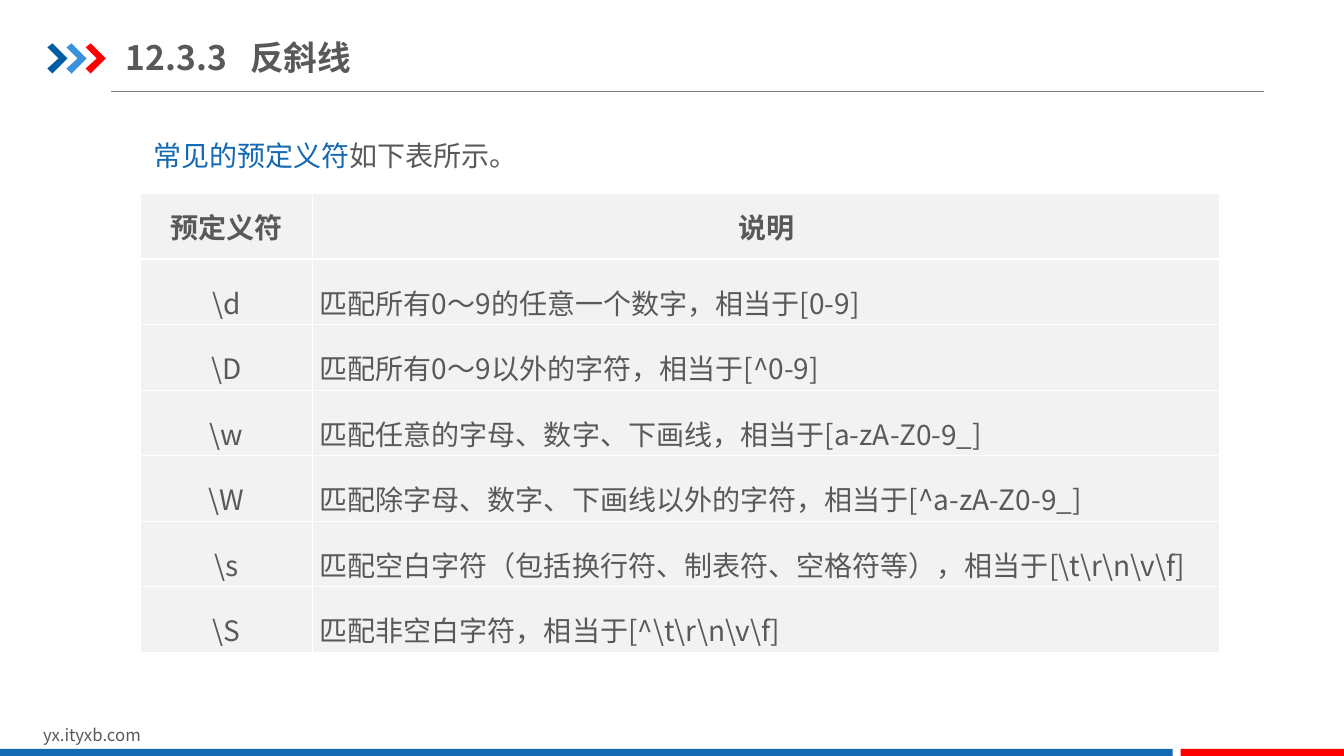
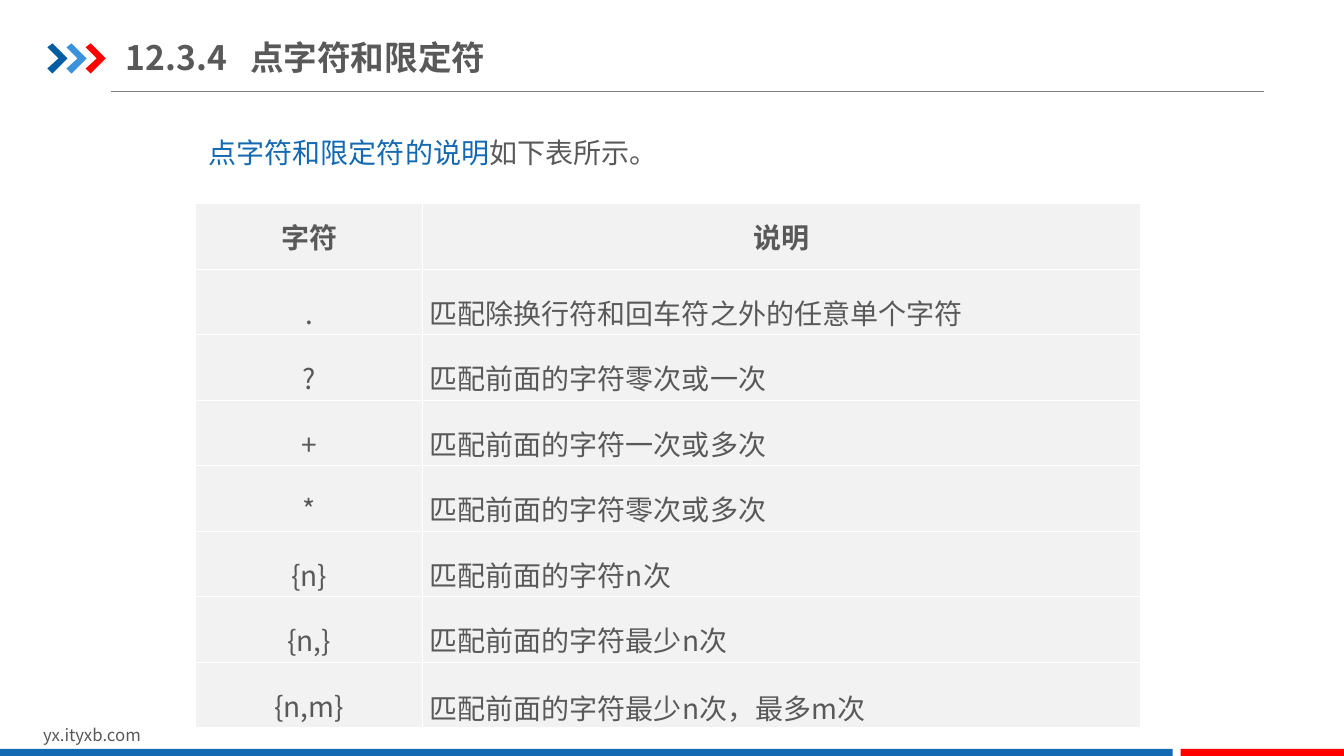
from lxml import etree
from pptx import Presentation
from pptx.dml.color import RGBColor
from pptx.enum import shapes, text
from pptx.oxml import ns
from pptx.util import Inches, Pt

FONT = "Noto Sans CJK SC"
BLUE = RGBColor(0x13, 0x69, 0xB2)
DARK_BLUE = RGBColor(0x00, 0x5D, 0xA2)
LIGHT_BLUE = RGBColor(0x39, 0x92, 0xDB)
RED = RGBColor(0xFF, 0x00, 0x00)
TEXT_GRAY = RGBColor(0x59, 0x59, 0x59)
RULE_GRAY = RGBColor(0x80, 0x80, 0x80)
CELL_GRAY = RGBColor(0xF2, 0xF2, 0xF2)
WHITE = RGBColor(0xFF, 0xFF, 0xFF)

SLIDE_W, SLIDE_H = 13.33, 7.5
ROW_H = 0.65

PREDEFINED = [
    ("预定义符", "说明"),
    (r"\d", "匹配所有0～9的任意一个数字，相当于[0-9]"),
    (r"\D", "匹配所有0～9以外的字符，相当于[^0-9]"),
    (r"\w", "匹配任意的字母、数字、下画线，相当于[a-zA-Z0-9_]"),
    (r"\W", "匹配除字母、数字、下画线以外的字符，相当于[^a-zA-Z0-9_]"),
    (r"\s", r"匹配空白字符（包括换行符、制表符、空格符等），相当于[\t\r\n\v\f]"),
    (r"\S", r"匹配非空白字符，相当于[^\t\r\n\v\f]"),
]
QUANTIFIERS = [
    ("字符", "说明"),
    (".", "匹配除换行符和回车符之外的任意单个字符"),
    ("?", "匹配前面的字符零次或一次"),
    ("+", "匹配前面的字符一次或多次"),
    ("*", "匹配前面的字符零次或多次"),
    ("{n}", "匹配前面的字符n次"),
    ("{n,}", "匹配前面的字符最少n次"),
    ("{n,m}", "匹配前面的字符最少n次，最多m次"),
]


def sub(parent, tag, **attributes):
    return etree.SubElement(parent, ns.qn(tag), **attributes)


def style_run(run, size, color=TEXT_GRAY, bold=False):
    """Set the run's look, with one font for Latin and East Asian text."""
    run.font.size = Pt(size)
    run.font.bold = bold
    run.font.color.rgb = color
    run.font.name = FONT
    sub(run.font._element, "a:ea", typeface=FONT)


def set_margins(target, horizontal, vertical):
    target.margin_left = target.margin_right = Inches(horizontal)
    target.margin_top = target.margin_bottom = Inches(vertical)


def add_text_frame(slide, box, horizontal, vertical):
    frame = slide.shapes.add_textbox(*map(Inches, box)).text_frame
    frame.word_wrap = True
    set_margins(frame, horizontal, vertical)
    return frame


def paint(shape, color):
    shape.fill.solid()
    shape.fill.fore_color.rgb = color
    shape.line.fill.background()
    shape.shadow.inherit = False


def add_chevrons(slide, left, top, step=0.19):
    outline = [(0, 0.04), (0.05, 0), (0.2, 0.15),
               (0.05, 0.3), (0, 0.25), (0.11, 0.15)]
    group = slide.shapes.add_group_shape()
    for i, color in enumerate((DARK_BLUE, LIGHT_BLUE, RED)):
        points = [(Inches(left + i * step + x), Inches(top + y))
                  for x, y in outline]
        builder = group.shapes.build_freeform(*points[0])
        builder.add_line_segments(points[1:], close=True)
        paint(builder.convert_to_shape(), color)


def add_header(slide, number, topic, title_width):
    rule = slide.shapes.add_connector(
        shapes.MSO_CONNECTOR.STRAIGHT,
        Inches(1.1), Inches(0.91), Inches(12.54), Inches(0.91))
    rule.line.color.rgb = RULE_GRAY
    rule.line.width = Pt(0.75)
    sub(rule._element.spPr, "a:effectLst")
    add_chevrons(slide, 0.47, 0.43)

    title = add_text_frame(slide, (1.25, 0.29, title_width, 0.55), 0, 0.07)
    title.vertical_anchor = text.MSO_ANCHOR.MIDDLE
    paragraph = title.paragraphs[0]
    paragraph.text = f"{number}\t{topic}"
    tabs = sub(paragraph._p.get_or_add_pPr(), "a:tabLst")
    sub(tabs, "a:tab", pos=str(Inches(1.23)), algn="l")
    style_run(paragraph.runs[0], 24, bold=True)


def add_footer(slide):
    site = add_text_frame(slide, (0.33, 7.14, 3.18, 0.3), 0.1, 0.05)
    site.text = "yx.ityxb.com"
    style_run(site.paragraphs[0].runs[0], 12)
    band_top = 7.43
    for left, right, color in ((0, 11.63, BLUE), (11.71, SLIDE_W, RED)):
        band = slide.shapes.add_shape(
            shapes.MSO_SHAPE.RECTANGLE, Inches(left), Inches(band_top),
            Inches(right - left), Inches(SLIDE_H - band_top))
        paint(band, color)


def add_intro(slide, box, subject):
    paragraph = add_text_frame(slide, box, 0.13, 0.07).paragraphs[0]
    paragraph.alignment = text.PP_ALIGN.JUSTIFY
    paragraph.line_spacing = 1.5
    for words, color in ((subject, BLUE), ("如下表所示。", TEXT_GRAY)):
        run = paragraph.add_run()
        run.text = words
        style_run(run, 20, color)


def add_borders(cell):
    properties = cell._tc.get_or_add_tcPr()
    for side in ("a:lnL", "a:lnR", "a:lnT", "a:lnB"):
        line = sub(properties, side, w=str(Pt(1)))
        sub(sub(line, "a:solidFill"), "a:srgbClr", val=str(WHITE))


def fill_cell(cell, words, is_header, centred):
    add_borders(cell)
    cell.fill.solid()
    cell.fill.fore_color.rgb = CELL_GRAY
    cell.vertical_anchor = text.MSO_ANCHOR.MIDDLE
    set_margins(cell, 0.07, 0)
    paragraph = cell.text_frame.paragraphs[0]
    paragraph.text = words
    paragraph.alignment = (text.PP_ALIGN.CENTER if centred
                           else text.PP_ALIGN.LEFT)
    if not is_header:
        paragraph.line_spacing = 1.5
    style_run(paragraph.runs[0], 20, bold=is_header)


def add_symbol_table(slide, left, top, widths, rows):
    table = slide.shapes.add_table(
        len(rows), len(widths), Inches(left), Inches(top),
        Inches(sum(widths)), Inches(ROW_H * len(rows))).table
    table.first_row = table.horz_banding = False
    for column, width in zip(table.columns, widths):
        column.width = Inches(width)
    for r, row in enumerate(rows):
        table.rows[r].height = Inches(ROW_H)
        for c, words in enumerate(row):
            fill_cell(table.cell(r, c), words, r == 0, r == 0 or c == 0)
    return table


def add_base_slide(deck, number, topic, title_width):
    slide = deck.slides.add_slide(deck.slide_layouts[6])
    add_header(slide, number, topic, title_width)
    add_footer(slide)
    return slide


def main():
    deck = Presentation()
    deck.slide_width, deck.slide_height = Inches(SLIDE_W), Inches(SLIDE_H)

    backslash = add_base_slide(deck, "12.3.3", "反斜线", 2.3)
    add_intro(backslash, (1.39, 1.14, 3.99, 0.64), "常见的预定义符")
    add_symbol_table(backslash, 1.39, 1.92, (1.71, 9), PREDEFINED)

    quantifier = add_base_slide(deck, "12.3.4", "点字符和限定符", 4.16)
    add_intro(quantifier, (1.94, 1.11, 5.64, 0.64), "点字符和限定符的说明")
    table = add_symbol_table(quantifier, 1.94, 2.02, (2.25, 7.12), QUANTIFIERS)
    last_cell = table.cell(len(QUANTIFIERS) - 1, 1)
    last_cell.vertical_anchor = text.MSO_ANCHOR.BOTTOM

    deck.save("out.pptx")


if __name__ == "__main__":
    main()
